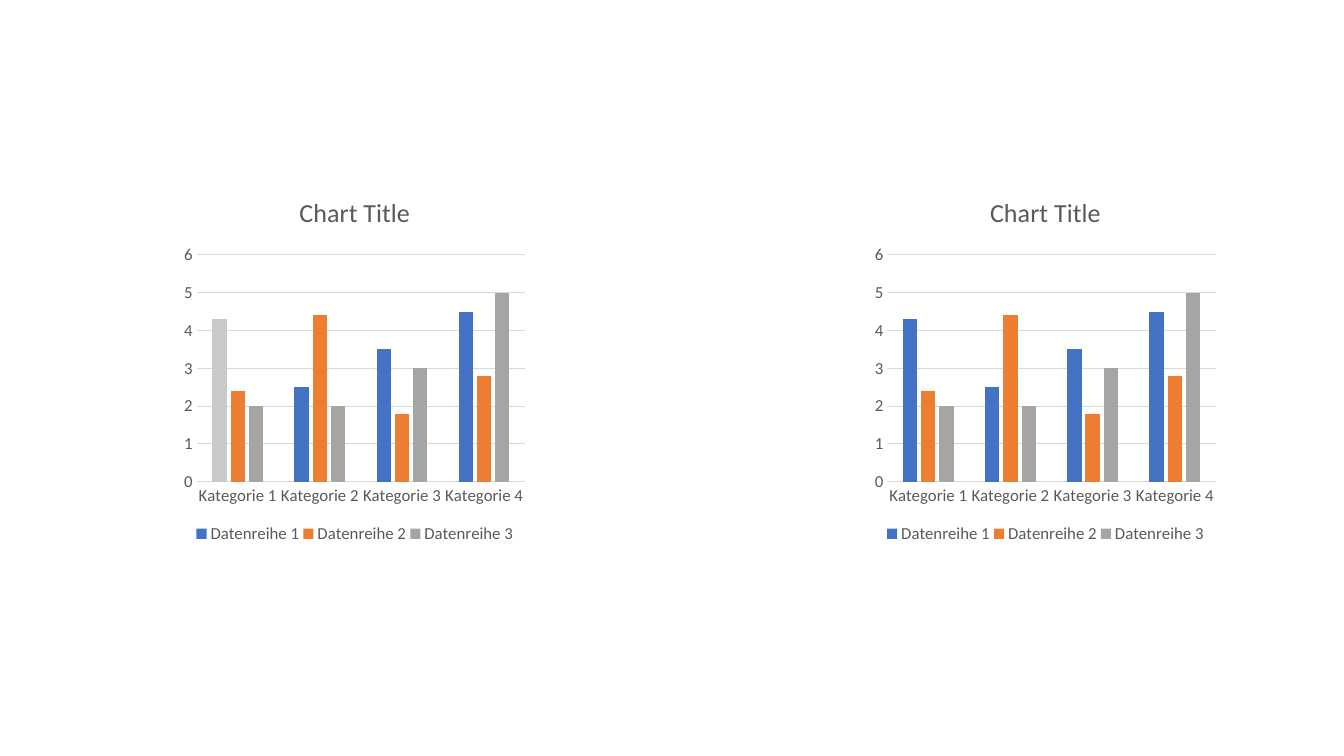
from dataclasses import dataclass, field

import pptx
import pptx.chart.data
import pptx.dml.color
import pptx.enum.chart
import pptx.oxml
import pptx.oxml.ns
import pptx.util
from pptx.util import Inches


@dataclass(frozen=True)
class Theme:
    font: str = "Calibri"
    label_color: str = "595959"
    grid_color: str = "D9D9D9"
    highlight_color: str = "C9C9C9"
    series_colors: tuple[str, ...] = ("4472C4", "ED7D31", "A5A5A5")
    title_size: float = 18.6
    label_size: float = 12
    line_width: float = 0.75


@dataclass(frozen=True)
class ColumnChart:
    left: float
    # Point colours, keyed by (series index, category index)
    point_colors: dict[tuple[int, int], str] = field(default_factory=dict)


@dataclass(frozen=True)
class Area:
    """Place of a chart part, in inches from the chart's corner."""
    x: float
    y: float
    w: float
    h: float


THEME = Theme()
CHART_TOP, CHART_WIDTH, CHART_HEIGHT = 1.75, 3.52, 3.9
PLOT_AREA = Area(x=0.19, y=0.78, w=3.26, h=2.25)
LEGEND_AREA = Area(x=0.15, y=3.4, w=3.22, h=0.29)
CATEGORIES = [f"Kategorie {number}" for number in range(1, 5)]
SERIES_VALUES = ((4.3, 2.5, 3.5, 4.5), (2.4, 4.4, 1.8, 2.8), (2, 2, 3, 5))
CHARTS = (
    ColumnChart(left=8.61),
    ColumnChart(left=1.76, point_colors={(0, 0): THEME.highlight_color}),
)


def rgb(color: str) -> pptx.dml.color.RGBColor:
    return pptx.dml.color.RGBColor.from_string(color)


def style_font(font, size: float = THEME.label_size, color: str = THEME.label_color) -> None:
    font.name = THEME.font
    font.size = pptx.util.Pt(size)
    font.bold = False
    font.color.rgb = rgb(color)


def write_text(frame, text: str, **font_format) -> None:
    frame.text = text
    style_font(frame.paragraphs[0].runs[0].font, **font_format)


def fill_solid(chart_format, color: str) -> None:
    chart_format.fill.solid()
    chart_format.fill.fore_color.rgb = rgb(color)


def style_line(line) -> None:
    line.color.rgb = rgb(THEME.grid_color)
    line.width = pptx.util.Pt(THEME.line_width)


def place_part(part, area: Area, index: int, target: str = "") -> None:
    """Give a chart part a manual layout as its child number index."""
    for old_layout in part.findall(pptx.oxml.ns.qn("c:layout")):
        part.remove(old_layout)
    fractions = {"x": area.x / CHART_WIDTH, "y": area.y / CHART_HEIGHT,
                 "w": area.w / CHART_WIDTH, "h": area.h / CHART_HEIGHT}
    settings = f'<c:layoutTarget val="{target}"/>' if target else ""
    settings += '<c:xMode val="edge"/><c:yMode val="edge"/>'
    settings += "".join(f'<c:{key} val="{value:.4f}"/>' for key, value in fractions.items())
    part.insert(index, pptx.oxml.parse_xml(
        f'<c:layout {pptx.oxml.ns.nsdecls("c")}>'
        f"<c:manualLayout>{settings}</c:manualLayout></c:layout>"))


def style_axes(chart) -> None:
    for axis in (chart.category_axis, chart.value_axis):
        axis.major_tick_mark = pptx.enum.chart.XL_TICK_MARK.NONE
        axis.minor_tick_mark = pptx.enum.chart.XL_TICK_MARK.NONE
        style_font(axis.tick_labels.font)
    style_line(chart.category_axis.format.line)

    scale = chart.value_axis
    scale.minimum_scale, scale.maximum_scale, scale.major_unit = 0, 6, 1
    scale.format.line.fill.background()
    scale.has_major_gridlines = True
    style_line(scale.major_gridlines.format.line)


def draw_chart(slide, spec: ColumnChart) -> None:
    data = pptx.chart.data.CategoryChartData()
    data.categories = CATEGORIES
    for number, values in enumerate(SERIES_VALUES, start=1):
        data.add_series(f"Datenreihe {number}", values)
    chart = slide.shapes.add_chart(
        pptx.enum.chart.XL_CHART_TYPE.COLUMN_CLUSTERED,
        Inches(spec.left), Inches(CHART_TOP), Inches(CHART_WIDTH), Inches(CHART_HEIGHT),
        data,
    ).chart
    style_font(chart.font)

    # Title and legend
    chart.has_title = True
    chart.chart_title.include_in_layout = False
    write_text(chart.chart_title.text_frame, "Chart Title", size=THEME.title_size)
    chart.has_legend = True
    chart.legend.position = pptx.enum.chart.XL_LEGEND_POSITION.BOTTOM
    chart.legend.include_in_layout = False
    style_font(chart.legend.font)

    style_axes(chart)

    # Columns
    columns = chart.plots[0]
    columns.vary_by_categories = False
    columns.gap_width, columns.overlap = 219, -27
    for series, color in zip(columns.series, THEME.series_colors):
        series.invert_if_negative = False
        fill_solid(series.format, color)
    for (series_index, category_index), color in spec.point_colors.items():
        fill_solid(columns.series[series_index].points[category_index].format, color)

    # Fixed areas, and category labels that wrap instead of turning
    chart_space = chart._chartSpace
    place_part(chart_space.xpath(".//c:plotArea")[0], PLOT_AREA, index=0, target="inner")
    place_part(chart_space.xpath(".//c:legend")[0], LEGEND_AREA, index=1)
    label_body = chart_space.xpath(".//c:catAx/c:txPr/a:bodyPr")[0]
    label_body.set("rot", "-60000000")
    label_body.set("vert", "horz")


presentation = pptx.Presentation()
presentation.slide_width, presentation.slide_height = Inches(13.33), Inches(7.5)
slide = presentation.slides.add_slide(presentation.slide_layouts[6])
for chart_spec in CHARTS:
    draw_chart(slide, chart_spec)
presentation.save("out.pptx")
